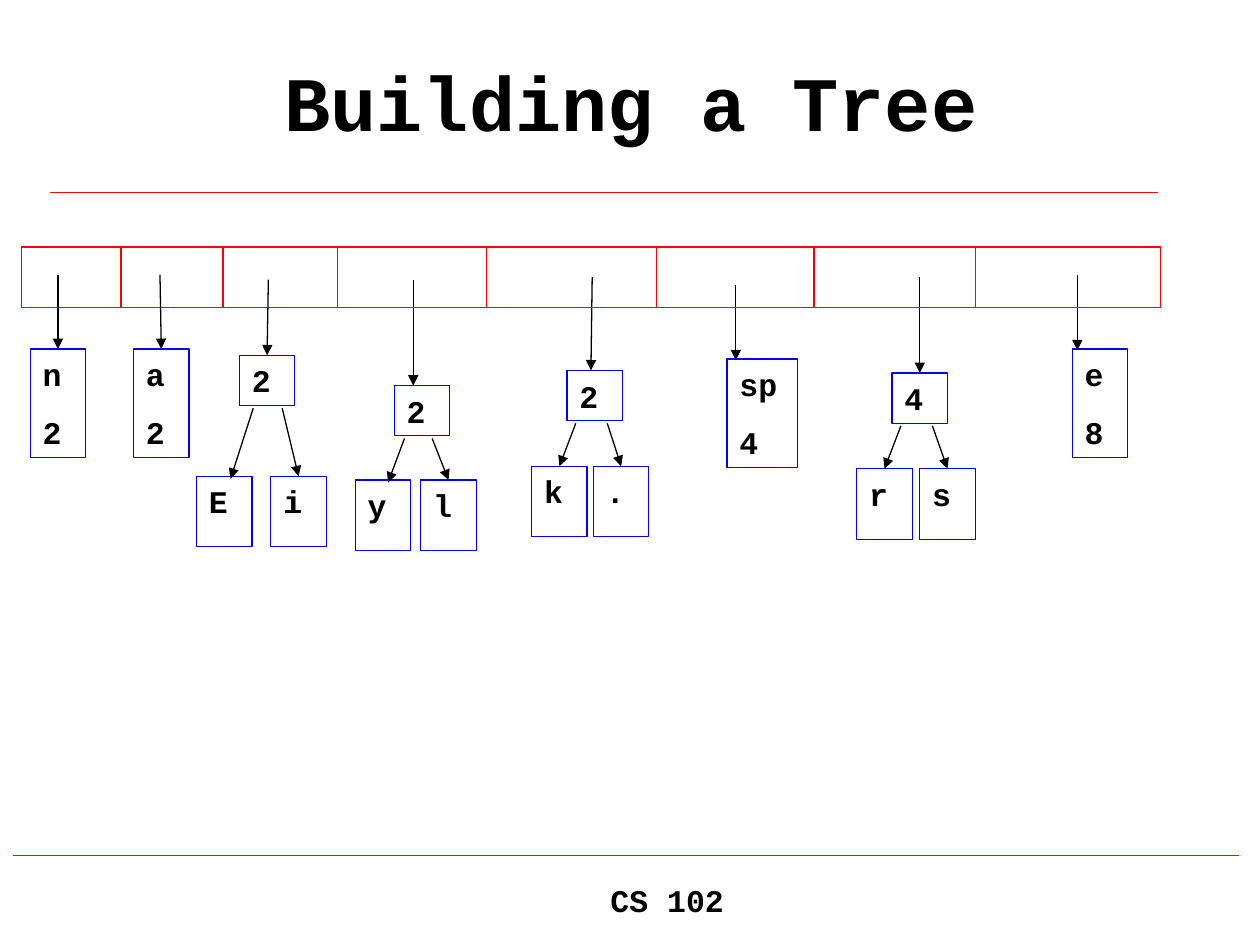
from dataclasses import dataclass

from lxml.etree import SubElement as Sub
from pptx import Presentation
from pptx.dml.color import RGBColor as RGB
from pptx.enum.shapes import MSO_CONNECTOR as Conn, MSO_SHAPE as Kind
from pptx.enum.text import MSO_ANCHOR as Anchor, PP_ALIGN as Align
from pptx.oxml.ns import qn
from pptx.util import Inches, Pt


@dataclass(frozen=True)
class Theme:
    font: str = "Courier New"
    ink: RGB = RGB(0, 0, 0)
    red: RGB = RGB(255, 0, 0)
    blue: RGB = RGB(0, 0, 255)
    white: RGB = RGB(255, 255, 255)
    title: float = 44
    body: float = 18
    gap: float = 11.2
    rule: float = 0.75


LOOK = Theme()
WIDE, HIGH = Inches(10), Inches(7.5)
COLS = 100  # square grid: 100 columns by 75 rows

# Queue row: left, top, width, height, and the columns of its dividers
ROW = (1.7, 19.6, 90.4, 4.8)
CUTS = (9.6, 17.7, 26.8, 38.6, 52.1, 64.6, 77.4)

# Box sizes
SLIM, BROAD = 4.4, 5.6
PAIR, LEAF, ROOT = 8.6, 5.6, 4

# Single nodes: letter, count, left, top, width, arrow column, arrow start row
NODES = (
    ("n", "2", 2.4, 27.7, SLIM, 4.6, 21.8),
    ("a", "2", 10.6, 27.7, SLIM, 12.7, 21.8),
    ("sp", "4", 57.7, 28.5, BROAD, 58.4, 22.6),
    ("e", "8", 85.1, 27.7, SLIM, 85.5, 21.8),
)

# Trees: count, root left and top, stem start, stem tip column,
# leaf row, then per leaf: letter, left, branch start column, tip column
TREES = (
    ("2", 19, 28.2, (21.3, 22.2), 21.3, 37.8,
     (("E", 15.6, 20.1, 18.3), ("i", 21.5, 22.4, 23.7))),
    ("2", 31.3, 30.6, (32.8, 22.2), 32.8, 38.1,
     (("y", 28.2, 32.1, 30.8), ("l", 33.4, 34.3, 35.6))),
    ("2", 45, 29.4, (47, 22), 46.9, 37,
     (("k", 42.2, 45.7, 44.4), (".", 47.1, 48.2, 49.4))),
    ("4", 70.8, 29.6, (73, 22), 73, 37.2,
     (("r", 68, 71.5, 70.2), ("s", 73, 74, 75.3))),
)


def unit(n):
    return round(WIDE * n / COLS)


def write(shape, lines, size, align=Align.LEFT, anchor=Anchor.TOP):
    frame = shape.text_frame
    frame.word_wrap = True
    frame.vertical_anchor = anchor
    frame.text = "\n".join(lines)
    for para in frame.paragraphs:
        para.alignment = align
        para.space_before = Pt(LOOK.gap if align == Align.LEFT else 0)
        for run in para.runs:
            run.font.name = LOOK.font
            run.font.size = Pt(size)
            run.font.bold = True
            run.font.color.rgb = LOOK.ink


def label(slide, area, text, size, anchor=Anchor.TOP):
    box = slide.shapes.add_textbox(*map(unit, area))
    write(box, [text], size, Align.CENTER, anchor)


def rect(slide, area, color, fill=None):
    box = slide.shapes.add_shape(Kind.RECTANGLE, *map(unit, area))
    box.shadow.inherit = False
    if fill is None:
        box.fill.background()
    else:
        box.fill.solid()
        box.fill.fore_color.rgb = fill
    box.line.color.rgb = color
    box.line.width = Pt(LOOK.rule)
    return box


def node(slide, area, *lines):
    box = rect(slide, area, LOOK.blue)
    write(box, lines, LOOK.body)
    return box


def line(slide, start, end, color):
    link = slide.shapes.add_connector(
        Conn.STRAIGHT, *map(unit, (*start, *end)))
    link.line.color.rgb = color
    link.line.width = Pt(LOOK.rule)
    Sub(link._element.spPr, qn("a:effectLst"))
    return link


def arrow(slide, start, end, box):
    link = line(slide, start, end, LOOK.ink)
    Sub(link.line._get_or_add_ln(), qn("a:tailEnd"), type="triangle")
    # Join the box when the tip is at the middle of its top side
    if abs(box.left + box.width / 2 - unit(end[0])) <= unit(0.2):
        link.end_connect(box, 0)


def queue(slide):
    left, top, wide, high = ROW
    rect(slide, ROW, LOOK.red, LOOK.white)
    for cut in CUTS:
        line(slide, (cut, top), (cut, top + high), LOOK.red)


def single(slide, letter, count, left, top, wide, col, start):
    box = node(slide, (left, top, wide, PAIR), letter, count)
    arrow(slide, (col, start), (col, top + 0.1), box)


def tree(slide, count, left, top, stem, tip, row, leaves):
    root = node(slide, (left, top, SLIM, ROOT), count)
    arrow(slide, stem, (tip, top), root)
    for letter, side, start, end in leaves:
        leaf = node(slide, (side, row, SLIM, LEAF), letter)
        arrow(slide, (start, top + 4.2), (end, row + 0.2), leaf)


def main():
    deck = Presentation()
    deck.slide_width, deck.slide_height = WIDE, HIGH
    slide = deck.slides.add_slide(deck.slide_layouts[6])

    # Rules, footer and title
    line(slide, (4, 15.3), (91.9, 15.3), LOOK.red)
    line(slide, (1, 67.9), (98.3, 67.9), LOOK.red)
    label(slide, (26.8, 69.4, 52.3, 5), "CS 102", LOOK.body)
    label(slide, (7.6, 1.7, 85, 12.5), "Building a Tree",
          LOOK.title, Anchor.MIDDLE)

    # Queue with its nodes and trees
    queue(slide)
    for item in NODES:
        single(slide, *item)
    for item in TREES:
        tree(slide, *item)

    deck.save("out.pptx")


if __name__ == "__main__":
    main()
